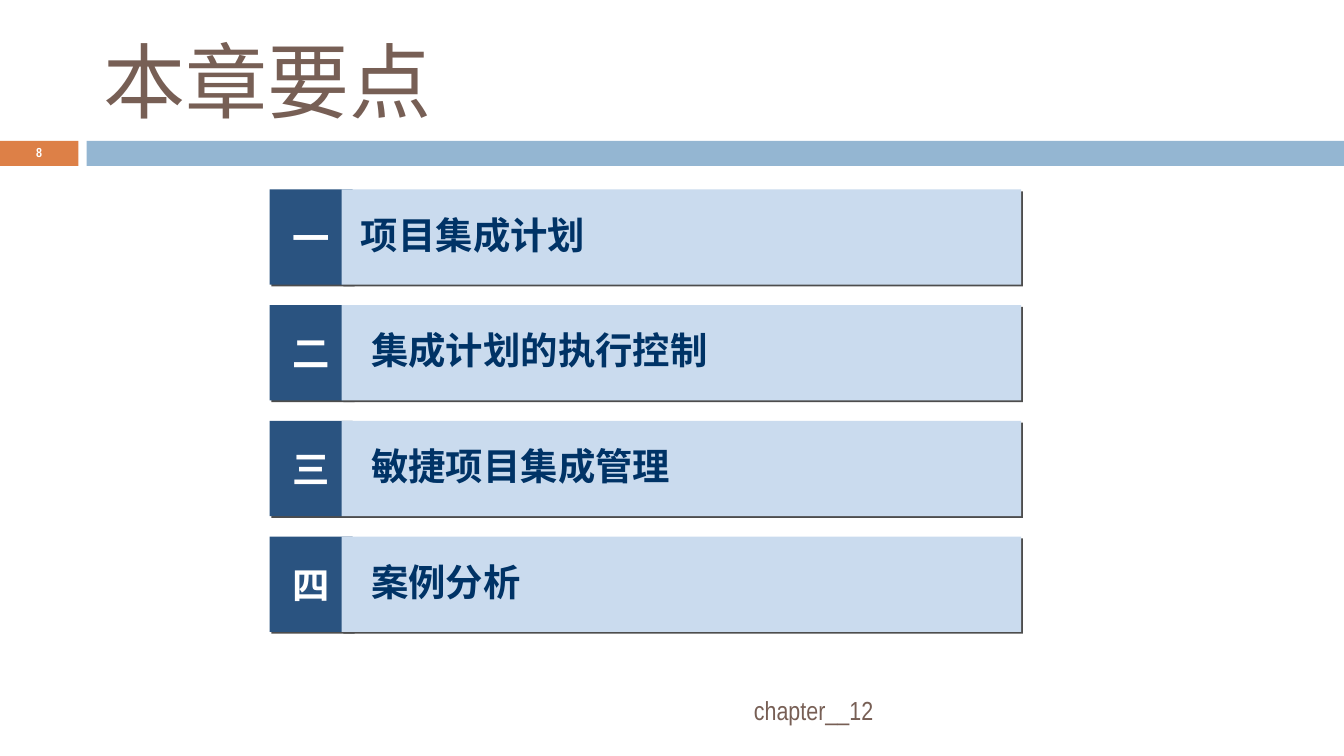
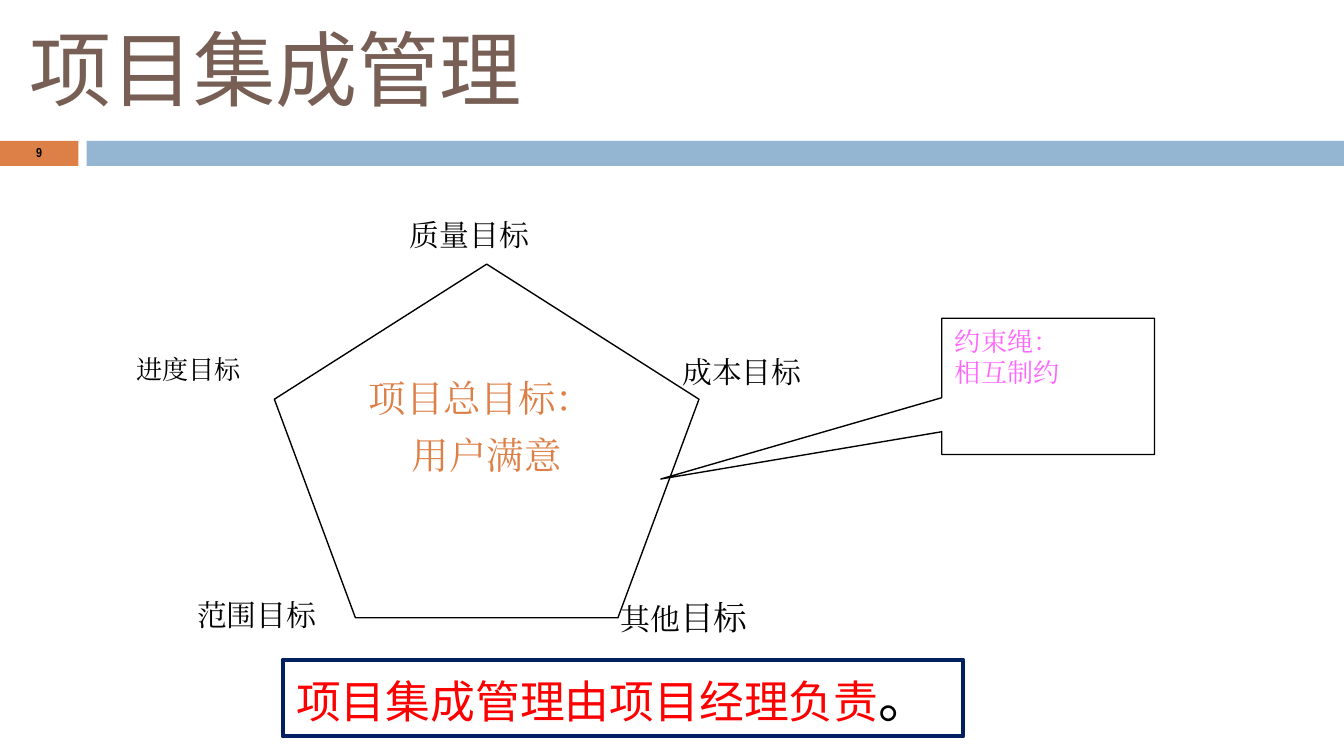
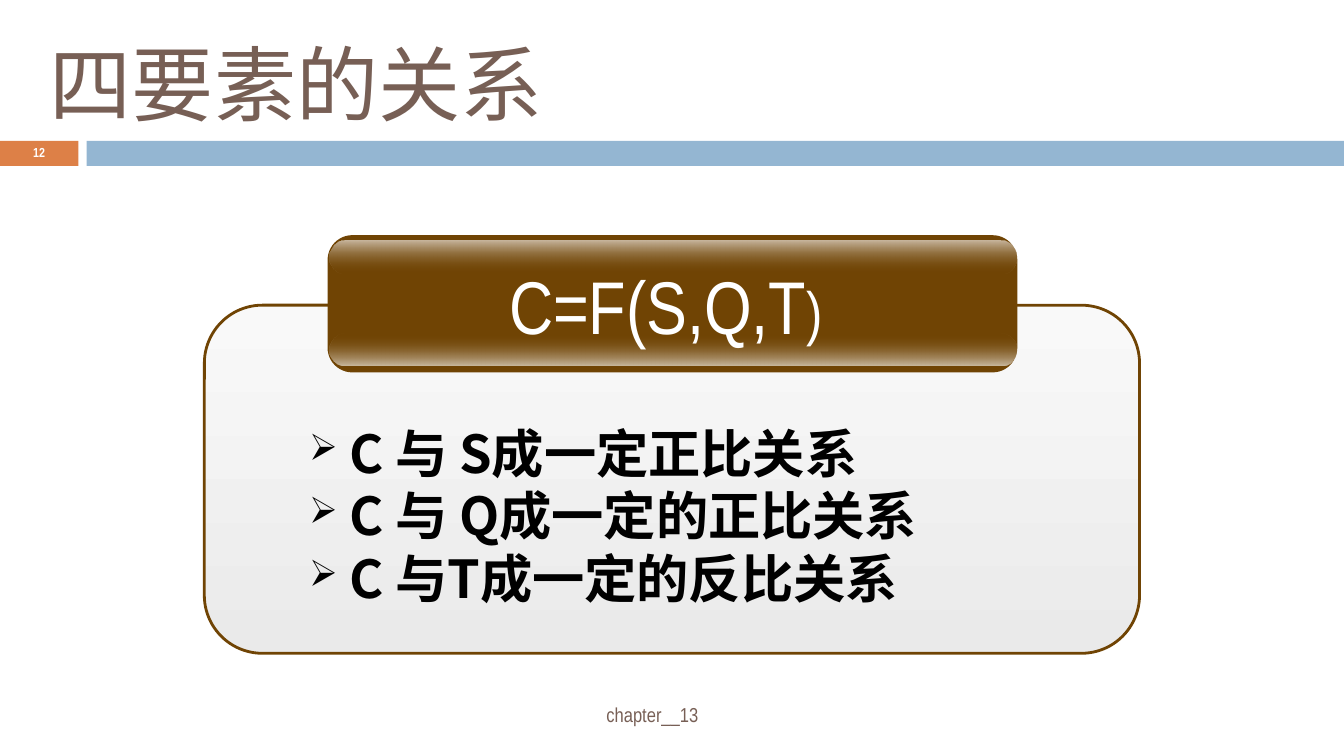
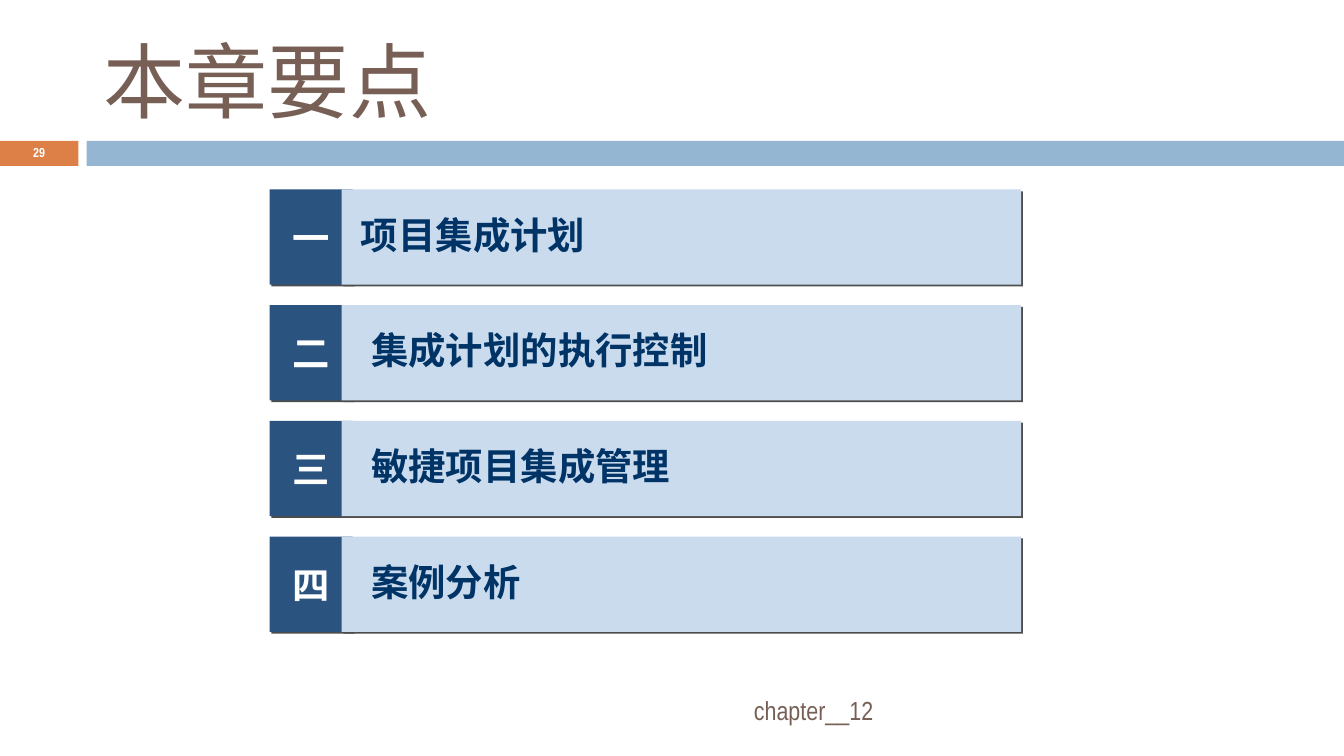
from dataclasses import dataclass

from lxml.etree import SubElement
from pptx import Presentation
from pptx.dml.color import RGBColor
from pptx.enum.shapes import MSO_SHAPE
from pptx.enum.text import MSO_ANCHOR, MSO_AUTO_SIZE, PP_ALIGN
from pptx.oxml.ns import qn
from pptx.util import Pt


@dataclass(frozen=True)
class Theme:
    orange: str = "DD8047"
    band_blue: str = "94B6D2"
    brown: str = "775F55"
    white: str = "FFFFFF"
    black: str = "000000"
    number_blue: str = "2A5380"
    panel_blue: str = "CADBEE"
    agenda_blue: str = "003366"
    shadow: str = "4D4D4D"
    pink: str = "FF66FF"
    red: str = "FF0000"
    navy: str = "002060"
    formula_brown: str = "704404"
    sans: str = "Noto Sans CJK SC"
    sans_jp: str = "Noto Sans CJK JP"
    narrow: str = "Arial Narrow"
    serif: str = "Times New Roman"
    title_size: float = 44
    formula_size: float = 40
    formula_end_size: float = 32
    relation_size: float = 28
    duty_size: float = 24
    agenda_size: float = 20
    label_size: float = 16
    small_label_size: float = 14
    large_label_size: float = 18
    number_size: float = 7


theme = Theme()


def draw(slide, kind, box, fill=None, line=None, width=0.75):
    """Add a preset shape; fill is a colour, or a list of two (colour, opacity) stops from top to bottom."""
    shape = slide.shapes.add_shape(kind, *map(Pt, box))
    shape.shadow.inherit = False
    if isinstance(fill, list):
        shape.fill.gradient()
        shape.fill.gradient_angle = 270
        for stop, position, (color, opacity) in zip(shape.fill.gradient_stops, (0, 1), fill):
            stop.position = position
            stop.color.rgb = RGBColor.from_string(color)
        for color_element, (_, opacity) in zip(shape.element.spPr.iter(qn("a:srgbClr")), fill):
            if opacity < 100:
                SubElement(color_element, qn("a:alpha"), val=str(opacity * 1000))
    elif fill:
        shape.fill.solid()
        shape.fill.fore_color.rgb = RGBColor.from_string(fill)
    else:
        shape.fill.background()
    if line:
        shape.line.color.rgb = RGBColor.from_string(line)
        shape.line.width = Pt(width)
    else:
        shape.line.fill.background()
    return shape


def write(shape, lines, size, font, color, bold=False, align=PP_ALIGN.LEFT,
          anchor=MSO_ANCHOR.MIDDLE, spacing=None, ending=None):
    """Fill a shape with styled paragraphs; ending is a last run (text, size, color)."""
    frame = shape.text_frame
    frame.text = "\n".join(lines)
    frame.word_wrap = True
    frame.auto_size = MSO_AUTO_SIZE.NONE
    frame.vertical_anchor = anchor
    styled = []
    for paragraph in frame.paragraphs:
        paragraph.alignment = align
        paragraph.line_spacing = spacing
        styled += [(run, size, color) for run in paragraph.runs]
    if ending:
        run = frame.paragraphs[-1].add_run()
        run.text, end_size, end_color = ending
        styled.append((run, end_size, end_color))
    for run, run_size, run_color in styled:
        run.font.size = Pt(run_size)
        run.font.name = font
        run.font.bold = bold
        run.font.color.rgb = RGBColor.from_string(run_color)
    for properties in shape.element.iter(qn("a:rPr")):
        SubElement(properties, qn("a:ea"), typeface=font)
    return frame


presentation = Presentation()
presentation.slide_width, presentation.slide_height = Pt(720), Pt(405)
layout = presentation.slide_layouts[5]
for placeholder in list(layout.placeholders):
    if placeholder.placeholder_format.idx:
        layout.shapes.element.remove(placeholder.element)

# Titles and page numbers
agenda_title = ("本章要点", (48, 13.5, 642, 58.5), MSO_ANCHOR.MIDDLE)
pages = [
    (*agenda_title, "8", theme.white),
    ("项目集成管理", (8.5, 10, 612, 67.5), MSO_ANCHOR.TOP, "9", theme.black),
    ("四要素的关系", (19.5, 15, 642, 58.5), MSO_ANCHOR.MIDDLE, "12", theme.white),
    (*agenda_title, "29", theme.white),
]
slides = []
for title_text, title_box, anchor, number, number_color in pages:
    slide = presentation.slides.add_slide(layout)
    slides.append(slide)
    title = slide.shapes.title
    title.left, title.top, title.width, title.height = map(Pt, title_box)
    frame = write(title, [title_text], theme.title_size, theme.sans, theme.brown, anchor=anchor)
    frame.margin_top = frame.margin_bottom = 0
    if slide is slides[0]:
        # The bands belong to the layout, so every slide shows them
        for band_box, band_color in [((0, 75.5, 42, 13.5), theme.orange),
                                     ((46.5, 75.5, 673.5, 13.5), theme.band_blue)]:
            band = draw(slide, MSO_SHAPE.RECTANGLE, band_box, band_color)
            layout.shapes.element.append(band.element)
    number_box = slide.shapes.add_textbox(Pt(0), Pt(75), Pt(42), Pt(14.5))
    write(number_box, [number], theme.number_size, theme.narrow, number_color, bold=True,
          align=PP_ALIGN.CENTER, spacing=0.8)

# Footers
agenda_footer = ("chapter__12", (48, 369.5, 427, 21.5), 14, PP_ALIGN.RIGHT, None)
relation_footer = ("chapter__13", (136, 373, 427, 21.5), 10.8, PP_ALIGN.CENTER, 0.8)
for slide, (text, box, size, align, spacing) in [
        (slides[0], agenda_footer), (slides[2], relation_footer), (slides[3], agenda_footer)]:
    footer = slide.shapes.add_textbox(*map(Pt, box))
    write(footer, [text], size, theme.narrow, theme.brown, align=align, spacing=spacing)

# Agenda slides
agenda = [
    ("一", "项目集成计划", 184.5, 345.5),
    ("二", "集成计划的执行控制", 190, 340.5),
    ("三", "敏捷项目集成管理", 190, 317.5),
    ("四", "案例分析", 190, 317.5),
]
for slide in (slides[0], slides[3]):
    for row, (numeral, topic, left, width) in enumerate(agenda):
        top = 101.5 + 62 * row
        numeral_box = draw(slide, MSO_SHAPE.RECTANGLE, (144.5, top, 44.5, 51), theme.number_blue)
        panel = draw(slide, MSO_SHAPE.RECTANGLE, (183, top, 364, 51), theme.panel_blue)
        for shape in (numeral_box, panel):
            shadow = SubElement(shape.element.spPr.find(qn("a:effectLst")), qn("a:outerShdw"),
                                dist=str(Pt(1.4)), dir="2700000", algn="ctr", rotWithShape="0")
            SubElement(shadow, qn("a:srgbClr"), val=theme.shadow)
        write(numeral_box, [numeral], theme.agenda_size, theme.sans, theme.white, bold=True,
              align=PP_ALIGN.CENTER)
        label = draw(slide, MSO_SHAPE.ROUNDED_RECTANGLE, (left, top + 5.5, width, 37))
        write(label, [topic], theme.agenda_size, theme.sans, theme.agenda_blue, bold=True)

# Goal pentagon
slide = slides[1]
goals = [
    ("质量目标", 212.5, 112.5, theme.label_size, None),
    ("进度目标", 66, 186, theme.small_label_size, None),
    ("成本目标", 358.5, 186, theme.label_size, None),
    ("其他", 325.5, 316, theme.label_size, ("目标", theme.large_label_size, theme.black)),
    ("范围目标", 98.5, 316, theme.label_size, None),
]
for text, left, top, size, ending in goals:
    goal = slide.shapes.add_textbox(Pt(left), Pt(top), Pt(97), Pt(44))
    write(goal, [text], size, theme.serif, theme.black, align=PP_ALIGN.JUSTIFY,
          anchor=MSO_ANCHOR.TOP, ending=ending)

pentagon = draw(slide, MSO_SHAPE.REGULAR_PENTAGON, (147, 141.5, 227.5, 189.5), line=theme.black)
frame = write(pentagon, ["项目总目标：", "用户满意"], theme.agenda_size, theme.serif, theme.orange,
              align=PP_ALIGN.JUSTIFY, anchor=MSO_ANCHOR.TOP)
frame.margin_top = Pt(15)
frame.paragraphs[1].alignment = PP_ALIGN.CENTER
frame.paragraphs[1].space_before = Pt(6)

callout = draw(slide, MSO_SHAPE.RECTANGULAR_CALLOUT, (504.5, 170.5, 114, 73), line=theme.black)
callout.adjustments[0], callout.adjustments[1] = -1.82, 0.68
write(callout, ["约束绳：", "相互制约"], theme.small_label_size, theme.serif, theme.pink,
      align=PP_ALIGN.JUSTIFY, anchor=MSO_ANCHOR.TOP)

duty = draw(slide, MSO_SHAPE.RECTANGLE, (151.5, 353.5, 364.5, 41), line=theme.navy, width=2.25)
write(duty, ["项目集成管理由项目经理负责"], theme.duty_size, theme.narrow, theme.red,
      anchor=MSO_ANCHOR.TOP, ending=("。", 28, theme.black))

# Relation of the four elements
slide = slides[2]
draw(slide, MSO_SHAPE.ROUNDED_RECTANGLE, (109.5, 163.5, 501, 186.5),
     [("F9F9F9", 100), ("EAEAEA", 100)], line=theme.formula_brown, width=1.5)
plate = draw(slide, MSO_SHAPE.ROUNDED_RECTANGLE, (175.5, 126, 369.5, 73.5), theme.formula_brown)
plate.adjustments[0] = 0.18
for top, stops in [(178.5, [(theme.formula_brown, 0), ("CDBEA7", 100)]),
                   (129, [("C9B8A0", 100), (theme.formula_brown, 0)])]:
    gloss = draw(slide, MSO_SHAPE.ROUNDED_RECTANGLE, (176.5, top, 368, 17.5), stops)
    gloss.adjustments[0] = 0.5

formula = slide.shapes.add_textbox(Pt(222.5), Pt(135.5), Pt(268.5), Pt(55.5))
write(formula, ["C=F(S,Q,T"], theme.formula_size, theme.narrow, theme.white,
      align=PP_ALIGN.CENTER, anchor=MSO_ANCHOR.TOP,
      ending=(")", theme.formula_end_size, theme.white))

relations = slide.shapes.add_textbox(Pt(129.5), Pt(219.5), Pt(461), Pt(108))
frame = write(relations, ["C 与 S成一定正比关系", "C 与 Q成一定的正比关系", "C 与T成一定的反比关系"],
              theme.relation_size, theme.sans_jp, theme.black, bold=True,
              anchor=MSO_ANCHOR.TOP, spacing=Pt(33.6))
frame.margin_top = Pt(6)
for paragraph in frame.paragraphs:
    paragraph.level = 1
for properties in relations.element.iter(qn("a:pPr")):
    properties.set("marL", str(Pt(50.5)))
    properties.set("indent", str(Pt(-21.5)))
    bullet_color = SubElement(properties, qn("a:buClr"))
    SubElement(bullet_color, qn("a:srgbClr"), val=theme.black)
    SubElement(properties, qn("a:buSzPct"), val="70000")
    SubElement(properties, qn("a:buChar"), char="➢")

presentation.save("out.pptx")
